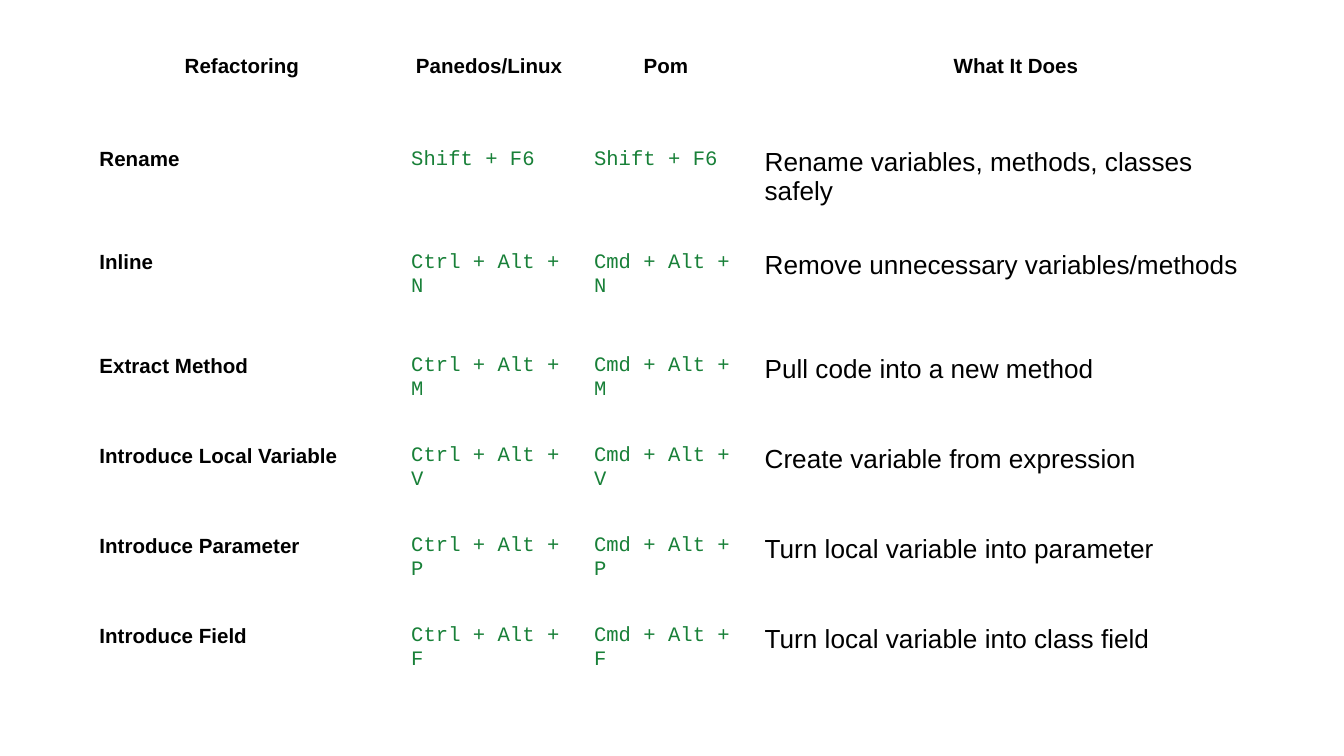
from pptx import Presentation
from pptx.dml.color import RGBColor
from pptx.enum.text import PP_ALIGN
from pptx.util import Inches, Pt

HEADERS = ("Refactoring", "Panedos/Linux", "Pom", "What It Does")
REFACTORINGS = [
    ("Rename", "Shift + F6", "Shift + F6", "Rename variables, methods, classes safely"),
    ("Inline", "Ctrl + Alt + N", "Cmd + Alt + N", "Remove unnecessary variables/methods"),
    ("Extract Method", "Ctrl + Alt + M", "Cmd + Alt + M", "Pull code into a new method"),
    ("Introduce Local Variable", "Ctrl + Alt + V", "Cmd + Alt + V", "Create variable from expression"),
    ("Introduce Parameter", "Ctrl + Alt + P", "Cmd + Alt + P", "Turn local variable into parameter"),
    ("Introduce Field", "Ctrl + Alt + F", "Cmd + Alt + F", "Turn local variable into class field"),
]
COLUMN_WIDTHS = (2.32, 1.36, 1.27, 3.94)
ROW_HEIGHTS = (0.72, 0.77, 0.77, 0.67, 0.67, 0.67, 0.67)
LABEL = ("Arial", 11, "000000", True)
SHORTCUT = ("Courier New", 11, "188038", False)
DESCRIPTION = ("Arial", 14, "000000", False)
COLUMN_STYLES = (LABEL, SHORTCUT, SHORTCUT, DESCRIPTION)


def fill_cell(cell, text, style, header):
    cell.fill.background()
    cell.margin_left = cell.margin_right = Inches(0.1)
    cell.margin_top = cell.margin_bottom = Inches(0.1)
    cell.text_frame.text = text
    para = cell.text_frame.paragraphs[0]
    if header:
        para.alignment = PP_ALIGN.CENTER
        para.line_spacing = 1.15
    font = para.runs[0].font
    font.name, size, color, font.bold = style
    font.size = Pt(size)
    font.color.rgb = RGBColor.from_string(color)


def main():
    deck = Presentation()
    deck.slide_width = Inches(10)
    deck.slide_height = deck.slide_width * 9 // 16
    page = deck.slides.add_slide(deck.slide_layouts[6])
    table = page.shapes.add_table(
        len(ROW_HEIGHTS), len(COLUMN_WIDTHS), Inches(0.64), Inches(0.28),
        Inches(sum(COLUMN_WIDTHS)), Inches(sum(ROW_HEIGHTS)),
    ).table
    table.first_row = table.horz_banding = False
    for column, width in zip(table.columns, COLUMN_WIDTHS):
        column.width = Inches(width)
    for row, height in zip(table.rows, ROW_HEIGHTS):
        row.height = Inches(height)
    for row_index, texts in enumerate([HEADERS] + REFACTORINGS):
        header = row_index == 0
        for column_index, text in enumerate(texts):
            style = LABEL if header else COLUMN_STYLES[column_index]
            fill_cell(table.cell(row_index, column_index), text, style, header)
    deck.save("out.pptx")


if __name__ == "__main__":
    main()
